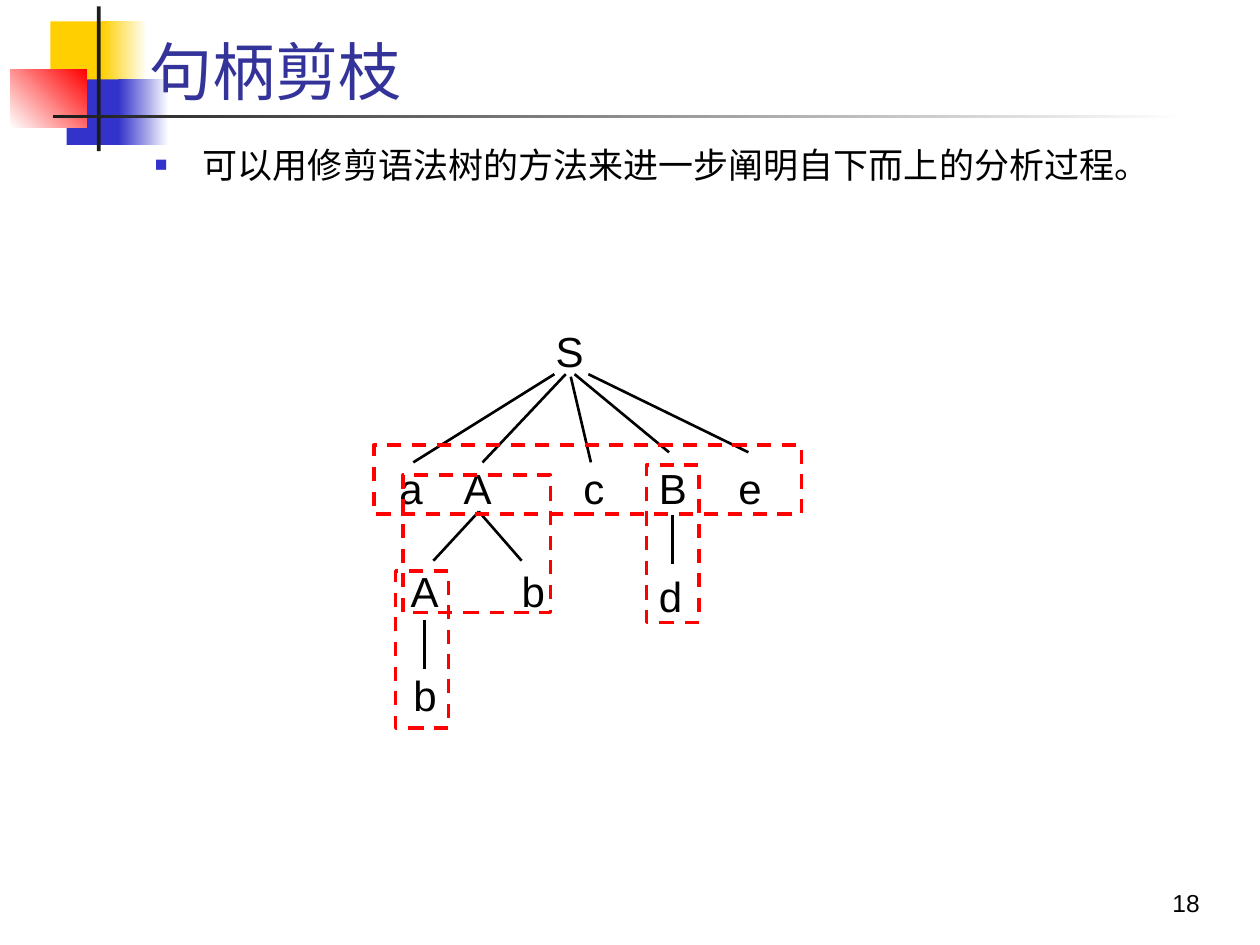
from dataclasses import dataclass

from lxml import etree
from pptx import Presentation
from pptx.dml.color import RGBColor
from pptx.enum.dml import MSO_LINE
from pptx.enum.shapes import MSO_CONNECTOR, MSO_SHAPE
from pptx.enum.text import MSO_ANCHOR, MSO_AUTO_SIZE, PP_ALIGN
from pptx.oxml.ns import qn
from pptx.util import Inches, Pt

RECTANGLE = MSO_SHAPE.RECTANGLE
STRAIGHT = MSO_CONNECTOR.STRAIGHT
DASH = MSO_LINE.DASH
TOP, BOTTOM = MSO_ANCHOR.TOP, MSO_ANCHOR.BOTTOM
LEFT, RIGHT, JUSTIFY = PP_ALIGN.LEFT, PP_ALIGN.RIGHT, PP_ALIGN.JUSTIFY
NO_FIT, FIT_SHAPE = MSO_AUTO_SIZE.NONE, MSO_AUTO_SIZE.SHAPE_TO_FIT_TEXT


@dataclass(frozen=True)
class Theme:
    font: str = "Arial"
    title_size: int = 36
    body_size: int = 20
    node_size: int = 24
    number_size: int = 14
    title: str = "333399"
    text: str = "000000"
    yellow: str = "FFCF01"
    blue: str = "3333CC"
    red: str = "FF0000"
    dark: str = "1C1C1C"
    white: str = "FFFFFF"
    branch_width: float = 1.5
    handle_width: float = 2


class SlideBuilder:
    """Draws styled elements on one slide."""

    def __init__(self, slide, theme):
        self.slide = slide
        self.theme = theme

    def format_text(self, shape, text, size, color, align, anchor, fit):
        frame = shape.text_frame
        frame.text = text
        frame.auto_size = fit
        frame.vertical_anchor = anchor
        paragraph = frame.paragraphs[0]
        paragraph.alignment = align
        font = paragraph.runs[0].font
        font.name = self.theme.font
        font.size = Pt(size)
        font.color.rgb = RGBColor.from_string(color)
        return paragraph

    def placeholder(self, index, box, text, size, color, anchor):
        shape = self.slide.placeholders[index]
        shape.left, shape.top, shape.width, shape.height = map(Inches, box)
        self.slide.shapes._spTree.append(shape._element)
        return self.format_text(shape, text, size, color, LEFT, anchor, NO_FIT)

    def title(self, box, text):
        paragraph = self.placeholder(
            0, box, text, self.theme.title_size, self.theme.title, BOTTOM)
        paragraph.line_spacing = 0.85

    def bullet(self, box, text):
        paragraph = self.placeholder(
            1, box, text, self.theme.body_size, self.theme.text, TOP)
        paragraph.space_before = Pt(0)
        properties = paragraph._p.get_or_add_pPr()
        properties.set("marL", str(Inches(0.38)))
        properties.set("indent", str(Inches(-0.38)))
        color = etree.SubElement(properties, qn("a:buClr"))
        etree.SubElement(color, qn("a:srgbClr"), val=self.theme.blue)
        etree.SubElement(properties, qn("a:buSzPct"), val="60000")
        etree.SubElement(properties, qn("a:buFont"), typeface=self.theme.font)
        etree.SubElement(properties, qn("a:buChar"), char="■")

    def rectangle(self, box):
        shape = self.slide.shapes.add_shape(RECTANGLE, *map(Inches, box))
        shape.shadow.inherit = False
        return shape

    def block(self, box, color, end_color=None, angle=0):
        shape = self.rectangle(box)
        shape.line.fill.background()
        if end_color is None:
            shape.fill.solid()
            shape.fill.fore_color.rgb = RGBColor.from_string(color)
            return
        shape.fill.gradient()
        shape.fill.gradient_angle = angle
        for stop, value, position in zip(
                shape.fill.gradient_stops, (color, end_color), (0, 1)):
            stop.color.rgb = RGBColor.from_string(value)
            stop.position = position

    def handle(self, box):
        shape = self.rectangle(box)
        shape.fill.background()
        shape.line.color.rgb = RGBColor.from_string(self.theme.red)
        shape.line.width = Pt(self.theme.handle_width)
        shape.line.dash_style = DASH

    def node(self, text, left, top, width):
        shape = self.slide.shapes.add_textbox(
            Inches(left), Inches(top), Inches(width), Inches(0.4))
        frame = shape.text_frame
        frame.margin_left = frame.margin_right = 0
        frame.margin_top = frame.margin_bottom = 0
        frame.word_wrap = False
        self.format_text(shape, text, self.theme.node_size, self.theme.text,
                         JUSTIFY, TOP, FIT_SHAPE)

    def branch(self, start, end):
        line = self.slide.shapes.add_connector(
            STRAIGHT, *map(Inches, (*start, *end)))
        line.line.color.rgb = RGBColor.from_string(self.theme.text)
        line.line.width = Pt(self.theme.branch_width)
        etree.SubElement(line._element.spPr, qn("a:effectLst"))

    def page_number(self, box, text):
        shape = self.slide.shapes.add_textbox(*map(Inches, box))
        shape.text_frame.word_wrap = True
        self.format_text(shape, text, self.theme.number_size, self.theme.text,
                         RIGHT, BOTTOM, NO_FIT)


def main():
    presentation = Presentation()
    presentation.slide_width = Inches(10)
    presentation.slide_height = Inches(7.5)
    slide = presentation.slides.add_slide(presentation.slide_layouts[1])
    theme = Theme()
    builder = SlideBuilder(slide, theme)

    builder.block((0.4, 0.17, 0.48, 0.52), theme.yellow)
    builder.block((0.81, 0.17, 0.36, 0.52), theme.yellow, theme.white)
    builder.block((0.53, 0.63, 0.46, 0.52), theme.blue)
    builder.block((0.94, 0.63, 0.4, 0.52), theme.blue, theme.white)
    builder.block((0.08, 0.55, 0.61, 0.46), theme.white, theme.red, 45)
    builder.block((0.77, 0.05, 0.03, 1.15), theme.dark)
    builder.block((0.42, 0.91, 9, 0.03), theme.dark, theme.white)

    builder.title((1.09, 0.23, 8.67, 0.68), "句柄剪枝")
    builder.bullet((1.13, 1.09, 8.64, 5.78),
                   "可以用修剪语法树的方法来进一步阐明自下而上的分析过程。")
    builder.page_number((7.54, 6.83, 2.08, 0.5), "18")

    tree_rows = (
        (2.58, (("S", 4.41, 0.22),)),
        (3.67, (("a", 3.17, 0.19), ("A", 3.68, 0.22), ("c", 4.63, 0.17),
                ("B", 5.23, 0.22), ("e", 5.86, 0.19))),
        (4.49, (("A", 3.26, 0.22), ("b", 4.14, 0.19))),
        (4.53, (("d", 5.23, 0.19),)),
        (5.31, (("b", 3.28, 0.19),)),
    )
    for top, nodes in tree_rows:
        for text, left, width in nodes:
            builder.node(text, left, top, width)

    branches = (
        ((4.4, 2.97), (3.28, 3.67)),
        ((4.49, 2.97), (3.83, 3.67)),
        ((4.53, 2.99), (4.69, 3.67)),
        ((4.56, 2.97), (5.31, 3.59)),
        ((4.67, 2.97), (5.94, 3.59)),
        ((3.8, 4.06), (3.44, 4.45)),
        ((3.8, 4.06), (4.14, 4.45)),
        ((5.34, 4.09), (5.34, 4.48)),
        ((3.37, 4.92), (3.37, 5.31)),
    )
    for start, end in branches:
        builder.branch(start, end)

    handles = (
        (3.14, 4.53, 0.42, 1.25),
        (3.2, 3.77, 1.17, 1.09),
        (5.13, 3.69, 0.42, 1.25),
        (2.97, 3.53, 3.39, 0.55),
    )
    for box in handles:
        builder.handle(box)

    presentation.save("out.pptx")


if __name__ == "__main__":
    main()
